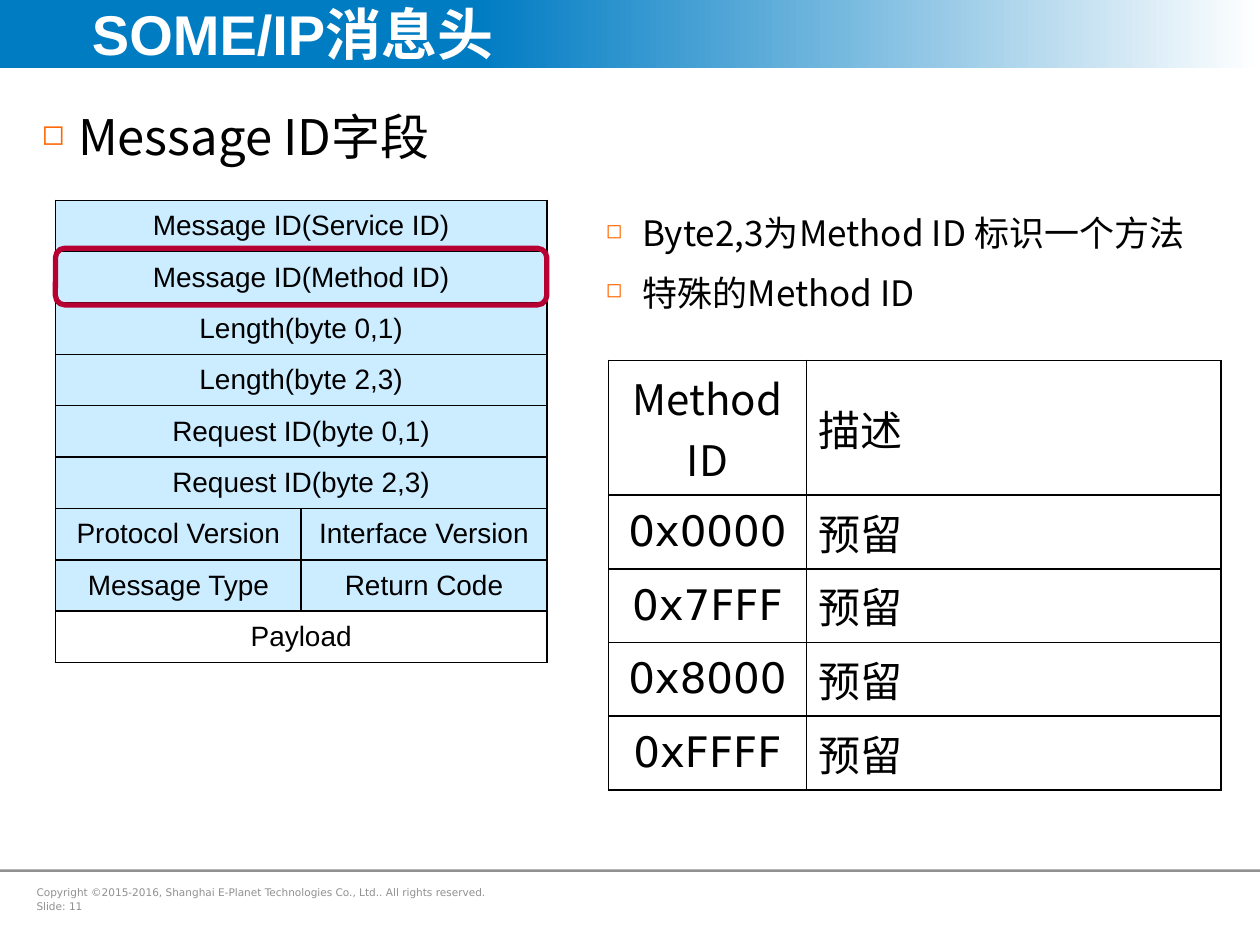
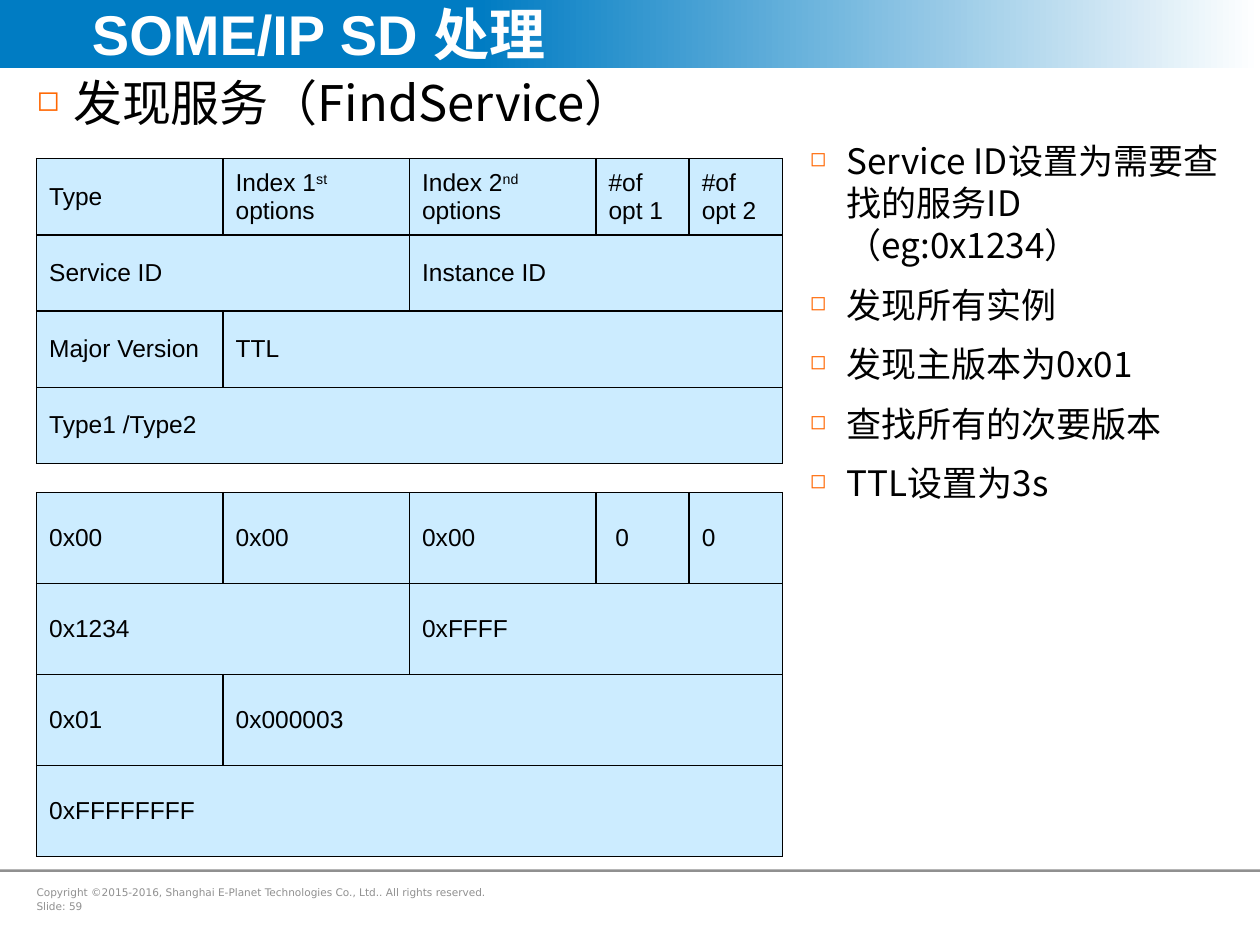
from copy import deepcopy

from lxml import etree
from pptx import Presentation
from pptx.dml.color import RGBColor
from pptx.enum import shapes, text
from pptx.oxml.ns import qn
from pptx.util import Inches, Pt

BLUE = RGBColor(0x00, 0x7C, 0xC3)
WHITE = RGBColor(0xFF, 0xFF, 0xFF)
BLACK = RGBColor(0x00, 0x00, 0x00)
GRAY = RGBColor(0x90, 0x90, 0x90)
ORANGE = RGBColor(0xFF, 0x66, 0x00)
PALE_BLUE = RGBColor(0xCC, 0xEC, 0xFF)
CRIMSON = RGBColor(0xB7, 0x00, 0x32)

LATIN = "Arial"
CJK = "Noto Sans CJK SC"
MONO = "DejaVu Sans"
COPYRIGHT = "Copyright ©2015-2016, Shanghai E-Planet Technologies Co., Ltd.. All rights reserved."

ENTRY_WIDTHS = [1.48, 1.48, 1.48, 0.74, 0.74]


def add_xml(parent, tag, **attributes):
    return etree.SubElement(parent, qn(tag), attributes)


class Deck:
    def __init__(self):
        self.prs = Presentation()
        self.prs.slide_width = Inches(10)
        self.prs.slide_height = Inches(7.5)
        self.slide = None

    def new_slide(self, title, number):
        self.slide = self.prs.slides.add_slide(self.prs.slide_layouts[6])
        self.band()
        rule = self.shape(shapes.MSO_SHAPE.RECTANGLE, 0, 6.9, 10, 0.02)
        rule.fill.solid()
        rule.fill.fore_color.rgb = GRAY
        rule.line.fill.background()
        footer = self.text_box([COPYRIGHT, f"Slide: {number}"], 0.29, 6.98, 3.84, 0.32)
        for paragraph in footer.paragraphs:
            self.style(paragraph, 6, MONO, GRAY)
        footer.paragraphs[1].space_before = Pt(1.2)
        heading = self.text_box([title], 0.73, 0, 7.85, 0.53)
        heading.vertical_anchor = text.MSO_ANCHOR.MIDDLE
        self.style(heading.paragraphs[0], 32, LATIN, WHITE, bold=True)

    def shape(self, kind, left, top, width, height):
        shape = self.slide.shapes.add_shape(
            kind, Inches(left), Inches(top), Inches(width), Inches(height))
        shape.shadow.inherit = False
        return shape

    def band(self):
        band = self.shape(shapes.MSO_SHAPE.RECTANGLE, 0, 0, 10, 0.54)
        band.line.fill.background()
        band.fill.gradient()
        band.fill.gradient_angle = 0
        start, end = band.fill.gradient_stops
        start.color.rgb, start.position = BLUE, 0
        end.color.rgb, end.position = WHITE, 1
        first = band._element.spPr.find(".//" + qn("a:gs"))
        middle = deepcopy(first)
        middle.set("pos", "38000")
        first.addnext(middle)

    def text_box(self, lines, left, top, width, height, inset=0):
        frame = self.slide.shapes.add_textbox(
            Inches(left), Inches(top), Inches(width), Inches(height)).text_frame
        frame.word_wrap = True
        frame.margin_left = frame.margin_right = Inches(inset)
        frame.text = "\n".join(lines)
        return frame

    def style(self, paragraph, size, font, color=BLACK, bold=False):
        for run in paragraph.runs:
            run.font.size = Pt(size)
            run.font.name = font
            run.font.bold = bold
            run.font.color.rgb = color
            east_asian = CJK if font == LATIN else font
            add_xml(run._r.get_or_add_rPr(), "a:ea", typeface=east_asian)

    def bullets(self, lines, left, top, width, height, size, inset=0.1):
        frame = self.text_box(lines, left, top, width, height, inset)
        for index, paragraph in enumerate(frame.paragraphs):
            properties = paragraph._p.get_or_add_pPr()
            properties.set("marL", str(Inches(0.29)))
            properties.set("indent", str(-Inches(0.29)))
            color = add_xml(properties, "a:buClr")
            add_xml(color, "a:srgbClr", val=str(ORANGE))
            add_xml(properties, "a:buSzPct", val="58000")
            add_xml(properties, "a:buChar", char="◻")
            if index:
                paragraph.space_before = Pt(size / 2)
            self.style(paragraph, size, CJK)

    def topic(self, line, left, top, width):
        self.bullets([line], left, top, width, 0.6, 28, inset=0)

    def border(self, cell):
        properties = cell._tc.get_or_add_tcPr()
        for side in ("a:lnL", "a:lnR", "a:lnT", "a:lnB"):
            line = add_xml(properties, side, w=str(Pt(1)))
            add_xml(add_xml(line, "a:solidFill"), "a:srgbClr", val=str(BLACK))

    def write_cell(self, cell, content, size, font, centred):
        cell.vertical_anchor = text.MSO_ANCHOR.MIDDLE
        paragraph = cell.text_frame.paragraphs[0]
        for index, part in enumerate(content.split("^")):
            run = paragraph.add_run()
            run.text = part
            if index % 2:
                run._r.get_or_add_rPr().set("baseline", "30000")
        if centred:
            paragraph.alignment = text.PP_ALIGN.CENTER
        self.style(paragraph, size, font)

    def table(self, rows, left, top, widths, heights, size,
              centred=(), font_of=lambda content: LATIN, fill_of=lambda content: PALE_BLUE):
        table = self.slide.shapes.add_table(
            len(rows), len(widths), Inches(left), Inches(top),
            Inches(sum(widths)), Inches(sum(heights))).table
        table.first_row = table.horz_banding = False
        for column, width in zip(table.columns, widths):
            column.width = Inches(width)
        for r, (row, height) in enumerate(zip(rows, heights)):
            table.rows[r].height = Inches(height)
            starts = [c for c, content in enumerate(row) if content is not None]
            for start, end in zip(starts, starts[1:] + [len(row)]):
                for c in range(start, end):
                    cell = table.cell(r, c)
                    self.border(cell)
                    fill = fill_of(row[start])
                    if fill is None:
                        cell.fill.background()
                    else:
                        cell.fill.solid()
                        cell.fill.fore_color.rgb = fill
                if end - start > 1:
                    table.cell(r, start).merge(table.cell(r, end - 1))
                self.write_cell(table.cell(r, start), row[start], size,
                                font_of(row[start]), start in centred)

    def highlight(self, left, top, width, height):
        frame = self.shape(shapes.MSO_SHAPE.ROUNDED_RECTANGLE, left, top, width, height)
        frame.fill.background()
        frame.line.color.rgb = CRIMSON
        frame.line.width = Pt(3)


def message_header(deck):
    deck.new_slide("SOME/IP消息头", 11)
    deck.topic("Message ID字段", 0.33, 0.8, 9.24)
    fields = [
        ["Message ID(Service ID)", None],
        ["Message ID(Method ID)", None],
        ["Length(byte 0,1)", None],
        ["Length(byte 2,3)", None],
        ["Request ID(byte 0,1)", None],
        ["Request ID(byte 2,3)", None],
        ["Protocol Version", "Interface Version"],
        ["Message Type", "Return Code"],
        ["Payload", None],
    ]
    deck.table(fields, 0.44, 1.59, [1.95, 1.95], [3.67 / 9] * 9, 16, centred=(0, 1),
               fill_of=lambda content: None if content == "Payload" else PALE_BLUE)
    deck.highlight(0.44, 1.97, 3.9, 0.45)
    reserved = ["0x0000", "0x7FFF", "0x8000", "0xFFFF"]
    methods = [["Method ID", "描述"]] + [[method, "预留"] for method in reserved]
    deck.table(methods, 4.83, 2.86, [1.57, 3.29], [1.07] + [2.34 / 4] * 4, 24, centred=(0,),
               font_of=lambda content: MONO if content in reserved else CJK,
               fill_of=lambda content: None)
    deck.bullets(["Byte2,3为Method ID 标识一个方法", "特殊的Method ID"],
                 4.71, 1.63, 4.86, 0.94, 20)


def find_service(deck):
    deck.new_slide("SOME/IP SD 处理", 59)
    deck.topic("发现服务（FindService）", 0.29, 0.53, 6.38)
    entry_layout = [
        ["Type", "Index 1^st^ options", "Index 2^nd^ options", "#of opt 1", "#of opt 2"],
        ["Service ID", None, "Instance ID", None, None],
        ["Major Version", "TTL", None, None, None],
        ["Type1 /Type2", None, None, None, None],
    ]
    entry_values = [
        ["0x00", "0x00", "0x00", " 0", "0"],
        ["0x1234", None, "0xFFFF", None, None],
        ["0x01", "0x000003", None, None, None],
        ["0xFFFFFFFF", None, None, None, None],
    ]
    deck.table(entry_layout, 0.29, 1.26, ENTRY_WIDTHS, [2.42 / 4] * 4, 14)
    deck.table(entry_values, 0.29, 3.91, ENTRY_WIDTHS, [2.89 / 4] * 4, 14)
    deck.bullets(
        ["Service ID设置为需要查找的服务ID（eg:0x1234）", "发现所有实例",
         "发现主版本为0x01", "查找所有的次要版本", "TTL设置为3s"],
        6.33, 1.06, 3.67, 2.79, 20)


def main():
    deck = Deck()
    message_header(deck)
    find_service(deck)
    deck.prs.save("out.pptx")


if __name__ == "__main__":
    main()
